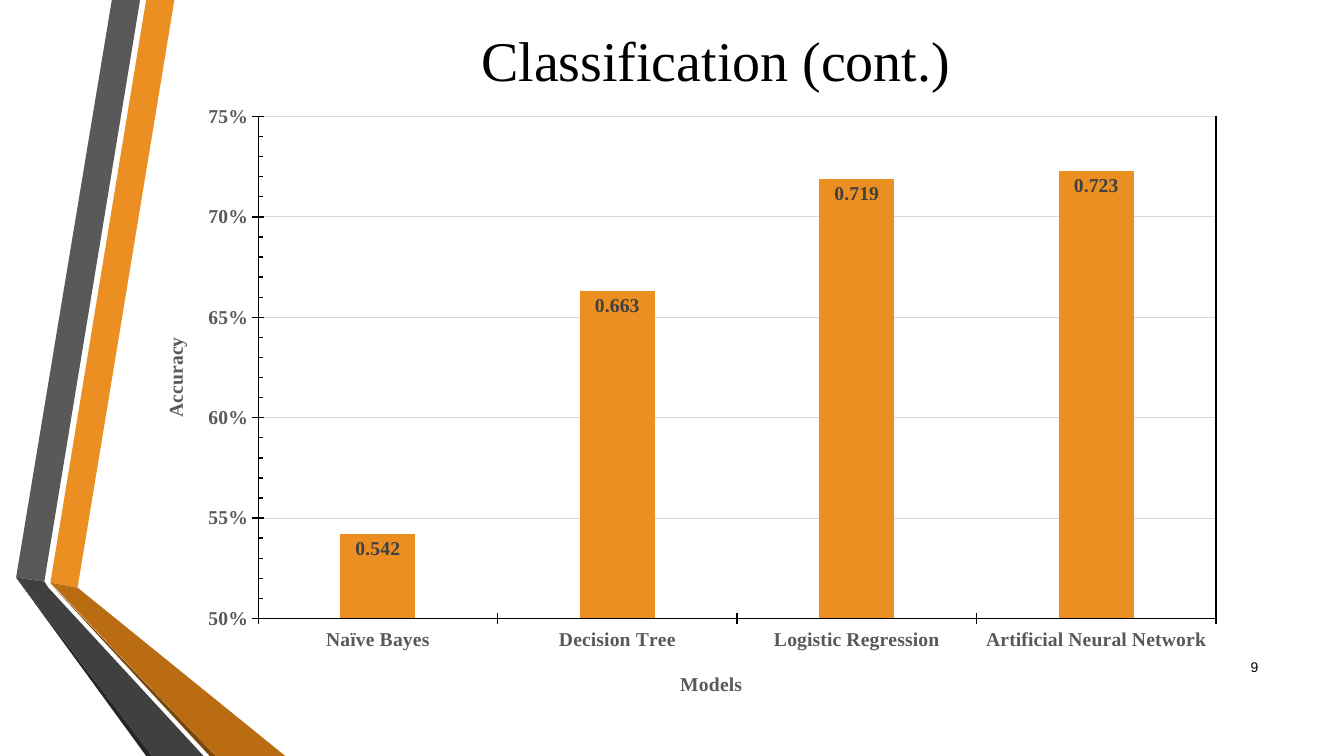
import pptx
import pptx.chart.data
import pptx.dml.color
import pptx.enum.chart
import pptx.enum.shapes
import pptx.enum.text
import pptx.oxml
import pptx.oxml.ns
import pptx.util
from dataclasses import dataclass

# Grid: square cells, 133.3 columns by 75 rows
CELL = pptx.util.Inches(0.1)
COLUMNS, ROWS = 133.3, 75


@dataclass(frozen=True)
class Theme:
    serif: str = "Times New Roman"
    sans: str = "Arial"
    title_size: int = 40
    chart_size: int = 14
    number_size: int = 10
    black: str = "000000"
    orange: str = "EB8F22"
    brown: str = "B96C11"
    dark_brown: str = "7B480B"
    gray: str = "595959"
    dark_gray: str = "404040"
    charcoal: str = "262626"
    grid: str = "D9D9D9"


THEME = Theme()

# Ribbons in the left margin, back to front: colour and corners in cells
RIBBONS = [
    (THEME.orange, [(5, 57.8), (7.7, 58.3), (17.3, 0), (14.5, 0)]),
    (THEME.gray, [(13.9, 0), (11.1, 0), (1.6, 57.3), (4.4, 57.7)]),
    (THEME.charcoal, [(1.6, 57.3), (14.5, ROWS), (15.1, ROWS)]),
    (THEME.dark_brown, [(5, 57.9), (20.8, ROWS), (21.4, ROWS)]),
    (THEME.brown, [(5, 57.8), (21.4, ROWS), (28.3, ROWS), (7.7, 58.3)]),
    (THEME.dark_gray, [(20.2, ROWS), (4.8, 58.3), (4.4, 57.7), (1.6, 57.3), (15.1, ROWS)]),
]

ACCURACY = {
    "Naïve Bayes": 0.542,
    "Decision Tree": 0.663,
    "Logistic Regression": 0.719,
    "Artificial Neural Network": 0.723,
}


def cells(*counts):
    return [round(count * CELL) for count in counts]


def rgb(color):
    return pptx.dml.color.RGBColor.from_string(color)


def style_font(font, name, size, color, bold=False):
    font.name = name
    font.size = pptx.util.Pt(size)
    font.color.rgb = rgb(color)
    font.bold = bold


def style_line(line, color, width):
    line.color.rgb = rgb(color)
    line.width = pptx.util.Pt(width)


def fill_text(shape, box, text, alignment, name, size):
    shape.left, shape.top, shape.width, shape.height = cells(*box)
    frame = shape.text_frame
    frame.word_wrap = True
    frame.vertical_anchor = pptx.enum.text.MSO_ANCHOR.MIDDLE
    paragraph = frame.paragraphs[0]
    paragraph.text = text
    paragraph.alignment = alignment
    style_font(paragraph.font, name, size, THEME.black)


def add_ribbon(slide, color, corners):
    points = [cells(*corner) for corner in corners]
    builder = slide.shapes.build_freeform(*points[0])
    builder.add_line_segments(points[1:], close=True)
    shape = builder.convert_to_shape()
    shape.shadow.inherit = False
    shape.fill.solid()
    shape.fill.fore_color.rgb = rgb(color)
    shape.line.fill.background()


def set_layout(parent, index, **shares):
    """Place a chart part by shares of the chart's size."""
    for layout in parent.findall(pptx.oxml.ns.qn("c:layout")):
        parent.remove(layout)
    modes = '<c:xMode val="edge"/><c:yMode val="edge"/>'
    target = '<c:layoutTarget val="inner"/>' if "w" in shares else ""
    values = "".join(f'<c:{key} val="{share}"/>' for key, share in shares.items())
    parent.insert(index, pptx.oxml.parse_xml(
        f'<c:layout {pptx.oxml.ns.nsdecls("c")}><c:manualLayout>'
        f"{target}{modes}{values}</c:manualLayout></c:layout>"))


def style_axis(axis, title, x, y, rotation=0):
    axis.major_tick_mark = pptx.enum.chart.XL_TICK_MARK.CROSS
    style_font(axis.tick_labels.font, THEME.serif, THEME.chart_size, THEME.gray, True)
    style_line(axis.format.line, THEME.black, 1)
    frame = axis.axis_title.text_frame
    frame.text = title
    style_font(frame.paragraphs[0].font, THEME.serif, THEME.chart_size, THEME.gray, True)
    element = axis.axis_title._element
    body = next(element.iter(pptx.oxml.ns.qn("a:bodyPr")))
    body.set("rot", str(rotation * 60000))
    set_layout(element, 1, x=x, y=y)


def add_accuracy_chart(slide, box):
    data = pptx.chart.data.CategoryChartData()
    data.categories = list(ACCURACY)
    data.add_series("Series 1", list(ACCURACY.values()))
    chart = slide.shapes.add_chart(
        pptx.enum.chart.XL_CHART_TYPE.COLUMN_CLUSTERED, *cells(*box), data).chart
    chart.has_title = False
    chart.has_legend = False
    style_font(chart.font, THEME.serif, THEME.chart_size, THEME.black, True)

    # Columns and their labels
    plot = chart.plots[0]
    plot.vary_by_categories = False
    plot.gap_width = 219
    plot.overlap = -27
    fill = plot.series[0].format.fill
    fill.solid()
    fill.fore_color.rgb = rgb(THEME.orange)
    plot.has_data_labels = True
    labels = plot.data_labels
    labels.show_value = True
    labels.position = pptx.enum.chart.XL_LABEL_POSITION.INSIDE_END
    style_font(labels.font, THEME.serif, THEME.chart_size, THEME.dark_gray, True)

    # Axes
    style_axis(chart.category_axis, "Models", 0.49, 0.93)
    axis = chart.value_axis
    style_axis(axis, "Accuracy", 0.02, 0.39, rotation=-90)
    axis.minimum_scale, axis.maximum_scale = 0.5, 0.75
    axis.major_unit = 0.05
    axis.minor_tick_mark = pptx.enum.chart.XL_TICK_MARK.INSIDE
    minor_unit = pptx.oxml.parse_xml(
        f'<c:minorUnit {pptx.oxml.ns.nsdecls("c")} val="0.01"/>')
    axis._element.find(pptx.oxml.ns.qn("c:majorUnit")).addnext(minor_unit)
    axis.tick_labels.number_format = "0%"
    axis.tick_labels.number_format_is_linked = False
    axis.has_major_gridlines = True
    style_line(axis.major_gridlines.format.line, THEME.grid, 0.75)
    plot_area = chart._chartSpace.chart.plotArea
    set_layout(plot_area, 0, x=0.11, y=0.04, w=0.87, h=0.81)


def add_line(slide, start, end):
    connector = slide.shapes.add_connector(
        pptx.enum.shapes.MSO_CONNECTOR.STRAIGHT, *cells(*start), *cells(*end))
    style_line(connector.line, THEME.black, 1)
    connector._element.spPr.append(
        pptx.oxml.parse_xml(f'<a:effectLst {pptx.oxml.ns.nsdecls("a")}/>'))


def main():
    presentation = pptx.Presentation()
    presentation.slide_width, presentation.slide_height = cells(COLUMNS, ROWS)
    slide = presentation.slides.add_slide(presentation.slide_layouts[5])
    alignments = pptx.enum.text.PP_ALIGN

    # Margin decoration
    for color, corners in RIBBONS:
        add_ribbon(slide, color, corners)

    # Title and slide number
    fill_text(slide.shapes.title, (16.2, 0, 109.6, 11.7), "Classification (cont.)",
              alignments.CENTER, THEME.serif, THEME.title_size)
    number_box = (119.8, 64.2, 6, 4)
    fill_text(slide.shapes.add_textbox(*cells(*number_box)), number_box, "9",
              alignments.RIGHT, THEME.sans, THEME.number_size)

    # Chart, closed on the right by a line
    add_accuracy_chart(slide, (13.6, 9.1, 109.2, 61.5))
    add_line(slide, (120.6, 11.5), (120.6, 61.2))

    presentation.save("out.pptx")


if __name__ == "__main__":
    main()
